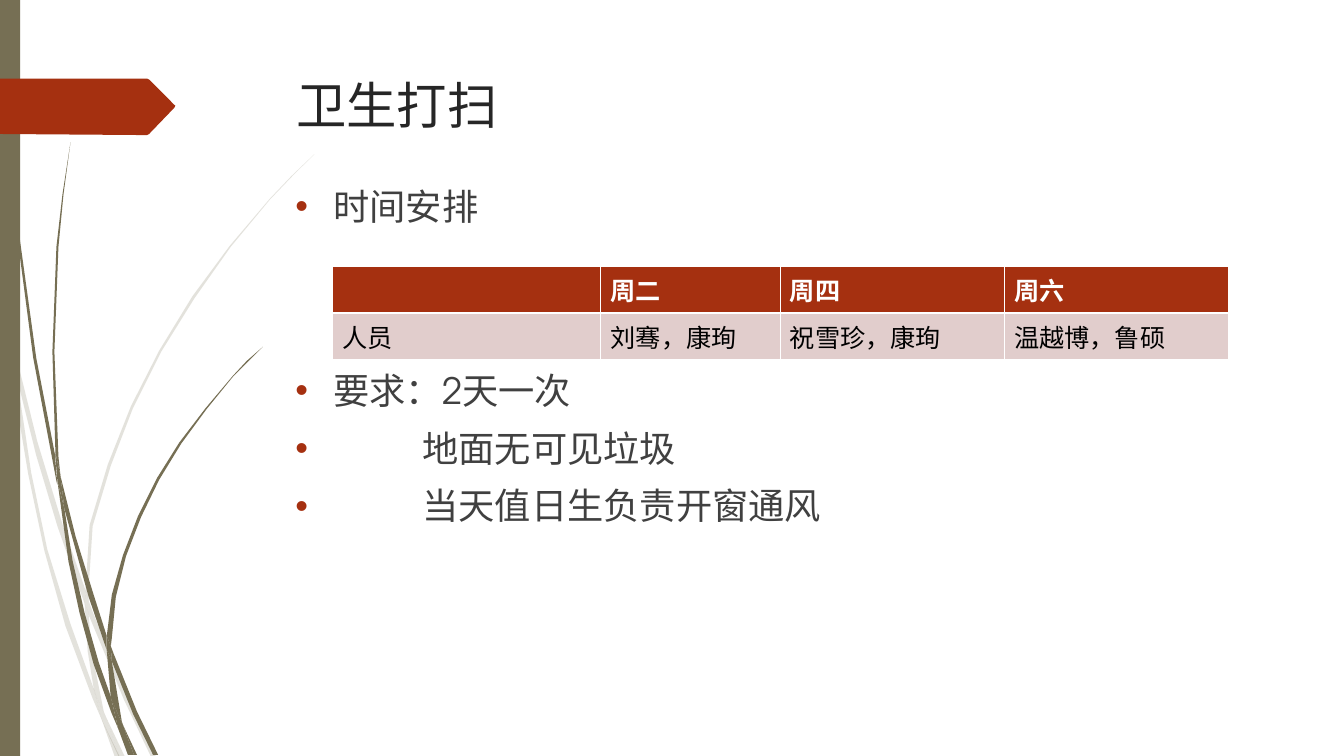
from lxml import etree
from pptx import Presentation
from pptx.dml.color import RGBColor
from pptx.enum.shapes import MSO_SHAPE
from pptx.enum.text import MSO_ANCHOR, MSO_AUTO_SIZE, PP_ALIGN
from pptx.oxml.ns import qn
from pptx.util import Cm, Pt

RECT = MSO_SHAPE.RECTANGLE
TOP, MIDDLE = MSO_ANCHOR.TOP, MSO_ANCHOR.MIDDLE
NO_FIT = MSO_AUTO_SIZE.NONE
LEFT = PP_ALIGN.LEFT

FONT = "TeX Gyre Adventor"
COLORS = {"olive": "766F54", "rust": "A53010", "pink": "E1CDCC", "title": "262626",
          "body": "404040", "white": "FFFFFF", "black": "000000"}

# Content
TITLE = "卫生打扫"
BULLETS = [  # text, space before in points, text indent in cm
    ("时间安排", 0, 0.96),
    ("要求：2天一次", 100, 0.96),
    ("地面无可见垃圾", 10, 3.2),
    ("当天值日生负责开窗通风", 10, 3.2),
]
ROTA = [
    ["", "周二", "周四", "周六"],
    ["人员", "刘骞，康珣", "祝雪珍，康珣", "温越博，鲁硕"],
]
COLUMN_WIDTHS = [6.76, 4.52, 5.65, 5.65]
ROW_HEIGHT = 1.18

# Outlines, in hundredths of an inch
PALE_GRASS = [
    [(11, 350), (8, 322), (0, 282), (0, 299), (10, 344)],
    [(57, 522), (84, 599), (85, 586), (62, 520), (37, 438), (14, 345), (17, 376), (36, 452)],
    [(92, 607), (88, 596), (88, 610), (123, 694), (150, 751), (155, 751), (127, 692)],
    [(119, 751), (124, 751), (105, 711)],
    [(93, 683), (70, 619), (47, 545), (31, 469), (17, 376), (11, 350), (18, 410), (28, 470),
     (44, 546), (65, 621), (92, 693), (101, 714), (99, 707)],
    [(84, 599), (87, 646), (93, 683), (96, 692), (105, 711), (103, 706), (91, 646), (88, 610),
     (88, 608)],
    [(88, 584), (92, 522), (110, 462), (132, 405), (160, 349), (193, 296), (229, 245),
     (268, 198), (290, 175), (312, 153), (289, 175), (268, 197), (228, 244), (191, 294),
     (158, 348), (130, 403), (107, 461), (89, 521), (85, 584), (85, 586), (88, 596)],
    [(101, 714), (114, 751), (119, 751)],
    [(88, 608), (88, 610), (88, 596), (85, 586), (84, 599)],
    [(96, 692), (93, 683), (99, 707), (101, 714), (118, 751), (119, 751), (105, 711)],
]
DARK_GRASS = [
    [(7, 110), (17, 233), (33, 355), (56, 477), (57, 481), (55, 457), (55, 453), (36, 355),
     (19, 232), (8, 109), (5, 48), (3, 0), (3, 48)],
    [(88, 592), (106, 645), (106, 633), (106, 631), (93, 590), (75, 532), (60, 472), (64, 505)],
    [(113, 649), (110, 641), (111, 656), (132, 708), (152, 749), (157, 749), (136, 706)],
    [(110, 691), (98, 657), (84, 608), (72, 556), (64, 505), (57, 477), (68, 557), (79, 608),
     (93, 659), (111, 708), (117, 722), (116, 717)],
    [(60, 472), (58, 453), (54, 349), (58, 245), (63, 193), (70, 141), (62, 193), (56, 245),
     (52, 349), (55, 449)],
    [(133, 749), (136, 749), (122, 719)],
    [(57, 477), (64, 505), (60, 472), (55, 449), (55, 453)],
    [(111, 633), (115, 592), (125, 552), (140, 513), (158, 476), (180, 440), (205, 406),
     (231, 374), (246, 359), (261, 344), (245, 358), (231, 373), (204, 405), (178, 439),
     (156, 474), (137, 512), (122, 551), (111, 590), (106, 631), (110, 641)],
    [(117, 722), (127, 749), (131, 749)],
    [(106, 645), (110, 692), (116, 706), (122, 719), (121, 716), (111, 656), (109, 651)],
    [(106, 645), (109, 651), (111, 656), (110, 641), (106, 631), (106, 633)],
    [(116, 706), (110, 691), (116, 717), (117, 722), (130, 749), (133, 749), (122, 719)],
]
ARROW = [(0, 78), (146, 78), (148, 79), (173, 104), (174, 105), (173, 107), (148, 133),
         (146, 134), (136, 134), (0, 133)]


def rgb(name):
    return RGBColor.from_string(COLORS[name])


def write(p, text, size=18, color="black", bold=False):
    p.alignment = LEFT
    r = p.add_run()
    r.text = text
    r.font.name, r.font.size, r.font.bold = FONT, Pt(size), bold
    r.font.color.rgb = rgb(color)


def paint(sp, color, alpha=None):
    sp.shadow.inherit = False
    sp.fill.solid()
    sp.fill.fore_color.rgb = rgb(color)
    sp.line.fill.background()
    if alpha:
        clr = sp.fill._xPr.find(".//" + qn("a:srgbClr"))
        etree.SubElement(clr, qn("a:alpha"), val=str(alpha * 1000))


def outline(s, points, color, alpha=None):
    builder = s.shapes.build_freeform(*points[0], scale=Cm(2.54) / 100)
    builder.add_line_segments(points[1:], close=True)
    paint(builder.convert_to_shape(), color, alpha)


def place(sp, left, top, width, height):
    sp.left, sp.top, sp.width, sp.height = Cm(left), Cm(top), Cm(width), Cm(height)
    tf = sp.text_frame
    tf.word_wrap, tf.auto_size, tf.vertical_anchor = True, NO_FIT, TOP
    return tf


def set_bullet(p, indent):
    pPr = p._p.get_or_add_pPr()
    pPr.set("marL", str(Cm(indent)))
    pPr.set("indent", str(-Cm(indent)))
    clr = etree.SubElement(pPr, qn("a:buClr"))
    etree.SubElement(clr, qn("a:srgbClr"), val=COLORS["rust"])
    etree.SubElement(pPr, qn("a:buFont"), typeface="Arial")
    etree.SubElement(pPr, qn("a:buChar"), char="•")


def set_border(tcPr, side, width):
    ln = etree.Element(qn("a:" + side), w=str(Pt(width)))
    fill = etree.SubElement(ln, qn("a:solidFill"))
    etree.SubElement(fill, qn("a:srgbClr"), val=COLORS["white"])
    return ln


prs = Presentation()
prs.slide_width, prs.slide_height = Cm(33.88), Cm(19.05)
s = prs.slides.add_slide(prs.slide_layouts[1])

# Grass, side bar and arrow
for points in PALE_GRASS:
    outline(s, points, "olive", alpha=20)
for points in DARK_GRASS:
    outline(s, points, "olive")
paint(s.shapes.add_shape(RECT, 0, 0, Cm(0.51), prs.slide_height), "olive")
outline(s, ARROW, "rust")

# Title
tf = place(s.shapes.title, 7.21, 1.73, 24.77, 3.56)
write(tf.paragraphs[0], TITLE, size=36, color="title")

# Bullets, with room left for the table after the first
tf = place(s.placeholders[1], 7.19, 2.31, 24.77, 10.72)
tf.margin_top = Cm(2.31)
for i, (text, before, indent) in enumerate(BULLETS):
    p = tf.add_paragraph() if i else tf.paragraphs[0]
    p.line_spacing, p.space_before = Pt(31.4), Pt(before)
    set_bullet(p, indent)
    write(p, text, size=25.9, color="body")

# Rota table
table = s.shapes.add_table(len(ROTA), len(ROTA[0]), Cm(8.38), Cm(6.7),
                           Cm(sum(COLUMN_WIDTHS)), Cm(ROW_HEIGHT * len(ROTA))).table
for column, width in zip(table.columns, COLUMN_WIDTHS):
    column.width = Cm(width)
for i, row in enumerate(ROTA):
    table.rows[i].height = Cm(ROW_HEIGHT)
    header = i == 0
    for j, text in enumerate(row):
        cell = table.cell(i, j)
        cell.vertical_anchor = MIDDLE
        cell.fill.solid()
        cell.fill.fore_color.rgb = rgb("rust" if header else "pink")
        if text:
            write(cell.text_frame.paragraphs[0], text, bold=header,
                  color="white" if header else "black")
        tcPr = cell._tc.get_or_add_tcPr()
        widths = {"lnL": 0.45, "lnR": 0.45, "lnT": 0.45 if header else 1.47,
                  "lnB": 1.47 if header else 0.45}
        for k, (side, width) in enumerate(widths.items()):
            tcPr.insert(k, set_border(tcPr, side, width))

prs.save("out.pptx")
